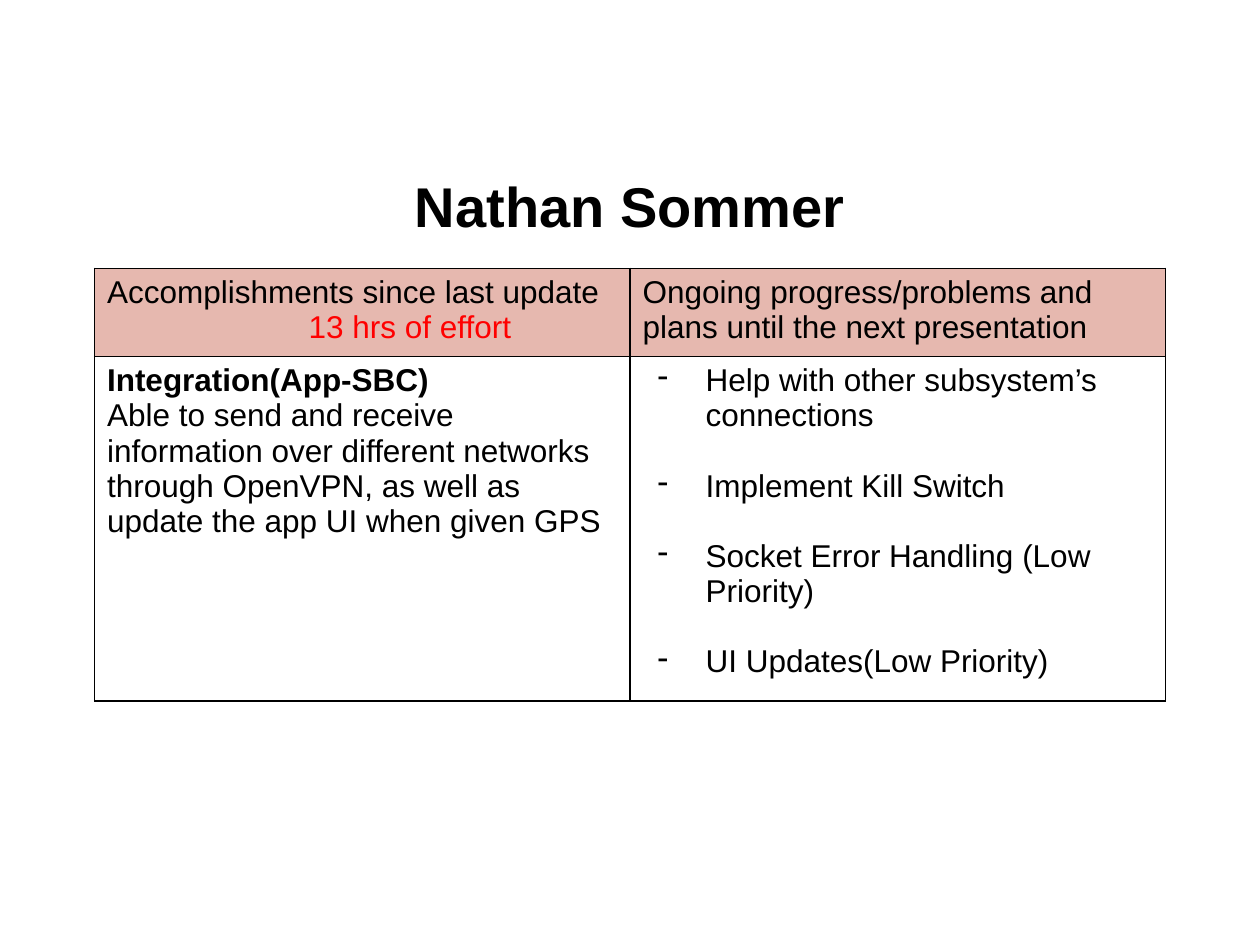
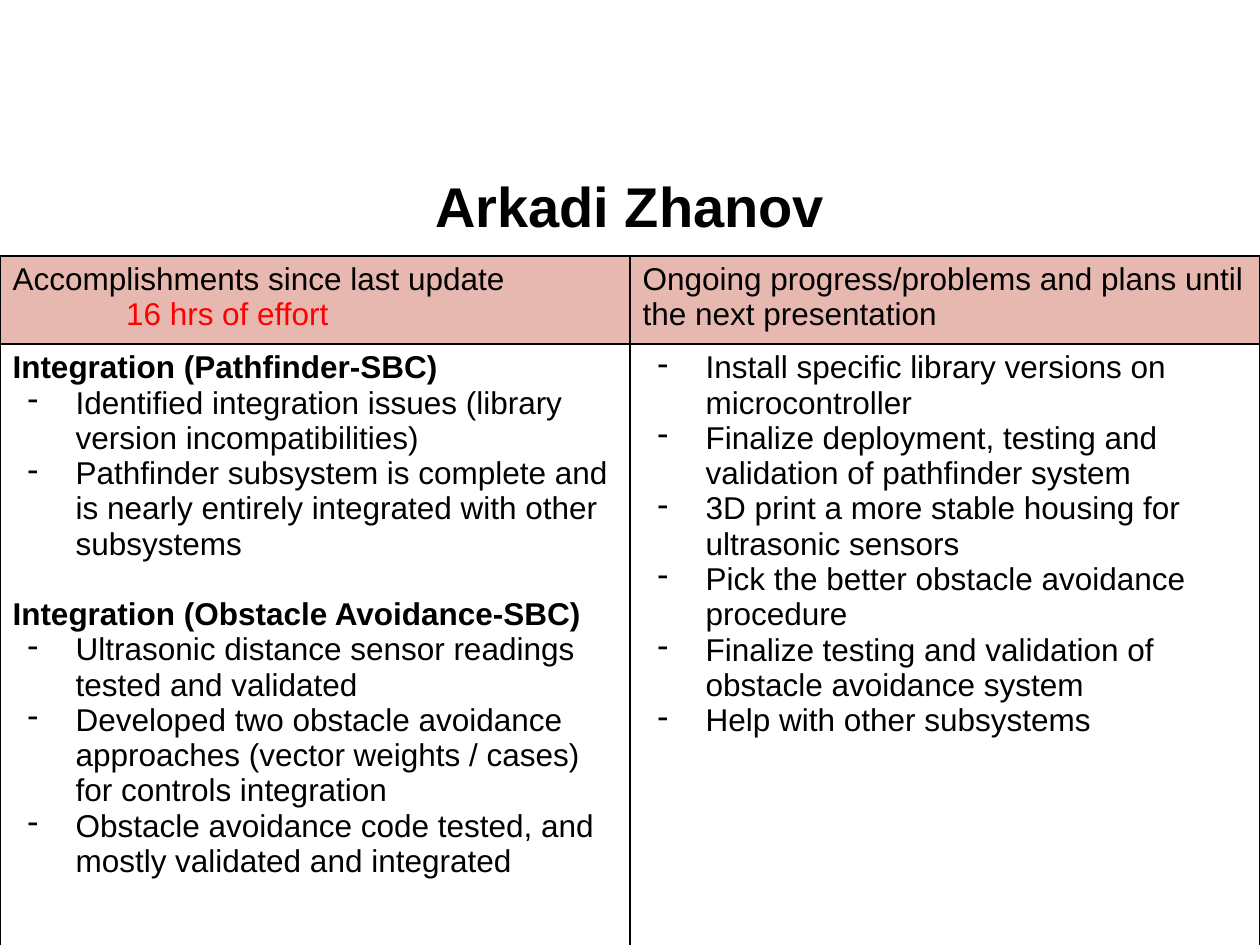
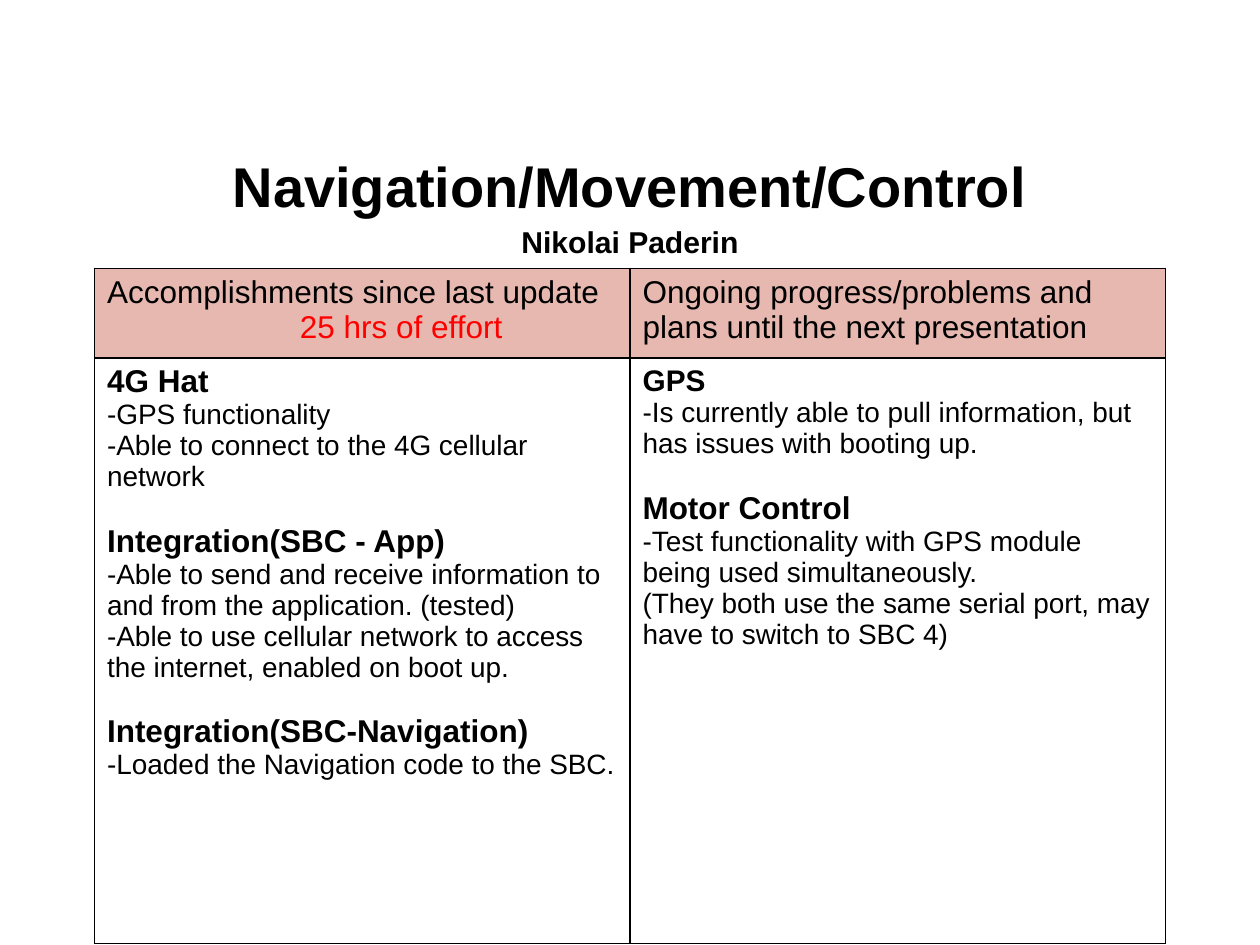
"""Build three progress-update slides, one for each team member."""
from lxml import etree
from pptx import Presentation
from pptx import util as u
from pptx.dml.color import RGBColor
from pptx.enum import text
from pptx.oxml import ns

FONT = "Arial"
COLORS = {"ink": "000000", "effort": "FF0000", "header": "E6B8AF", "body": "FFFFFF"}
STYLES = {
    "heading": {"size": 18, "bold": True},
    "subheading": {"size": 17, "bold": True},
    "plain": {"size": 18},
    "note": {"size": 16},
    "bullet": {"size": 18, "indent": 0.5, "bullet": "-"},
}
SLIDE_WIDTH = 10
DONE_HEADER = "Accomplishments since last update"
PLANS_HEADER = "Ongoing progress/problems and plans until the next presentation"

UPDATES = [
    {
        "title": [("Nathan Sommer", 32)],
        "effort": ("13 hrs of effort", 1.6),
        "top": 2.13, "width": 8.5, "rows": (0.7, 2.62), "gap": 20,
        "done": [[
            ("heading", "Integration(App-SBC)"),
            ("plain", "Able to send and receive information over different networks "
                      "through OpenVPN, as well as update the app UI when given GPS"),
        ]],
        "plans": [
            [("bullet", "Help with other subsystem’s connections")],
            [("bullet", "Implement Kill Switch")],
            [("bullet", "Socket Error Handling (Low Priority)")],
            [("bullet", "UI Updates(Low Priority)")],
        ],
    },
    {
        "title": [("Arkadi Zhanov", 32)],
        "effort": ("16 hrs of effort", 0.9),
        "top": 2.03, "width": 10, "rows": (0.68, 4.79), "gap": 20,
        "done": [
            [
                ("heading", "Integration (Pathfinder-SBC)"),
                ("bullet", "Identified integration issues (library version incompatibilities)"),
                ("bullet", "Pathfinder subsystem is complete and is nearly entirely "
                           "integrated with other subsystems"),
            ],
            [
                ("heading", "Integration (Obstacle Avoidance-SBC)"),
                ("bullet", "Ultrasonic distance sensor readings tested and validated"),
                ("bullet", "Developed two obstacle avoidance approaches "
                           "(vector weights / cases) for controls integration"),
                ("bullet", "Obstacle avoidance code tested, and mostly validated and integrated"),
            ],
        ],
        "plans": [[
            ("bullet", "Install specific library versions on microcontroller"),
            ("bullet", "Finalize deployment, testing and validation of pathfinder system"),
            ("bullet", "3D print a more stable housing for ultrasonic sensors"),
            ("bullet", "Pick the better obstacle avoidance procedure"),
            ("bullet", "Finalize testing and validation of obstacle avoidance system"),
            ("bullet", "Help with other subsystems"),
        ]],
    },
    {
        "title": [("Navigation/Movement/Control", 32), ("Nikolai Paderin", 17.2)],
        "effort": ("25 hrs of effort", 1.53),
        "top": 2.13, "width": 8.5, "rows": (0.71, 4.65), "gap": 17.7,
        "done": [
            [
                ("heading", "4G Hat"),
                ("note", "-GPS functionality"),
                ("note", "-Able to connect to the 4G cellular network"),
            ],
            [
                ("heading", "Integration(SBC - App)"),
                ("note", "-Able to send and receive information to and from "
                         "the application. (tested)"),
                ("note", "-Able to use cellular network to access the internet, "
                         "enabled on boot up."),
            ],
            [
                ("heading", "Integration(SBC-Navigation)"),
                ("note", "-Loaded the Navigation code to the SBC."),
            ],
        ],
        "plans": [
            [
                ("subheading", "GPS"),
                ("note", "-Is currently able to pull information, but has issues "
                         "with booting up."),
            ],
            [
                ("heading", "Motor Control"),
                ("note", "-Test functionality with GPS module being used simultaneously."),
                ("note", "(They both use the same serial port, may have to switch to SBC 4)"),
            ],
        ],
    },
]


def add_paragraph(frame, words, size, bold=False, color="ink", indent=0, bullet=None):
    paragraph = frame.paragraphs[0]
    if paragraph.runs:
        paragraph = frame.add_paragraph()
    paragraph.add_run().text = words
    properties = paragraph._p.get_or_add_pPr()
    if indent:
        properties.set("marL", str(u.Inches(indent)))
    if bullet:
        properties.set("indent", str(u.Inches(-0.38)))
        etree.SubElement(properties, ns.qn("a:buChar")).set("char", bullet)
    font = paragraph.font
    font.name, font.size, font.bold = FONT, u.Pt(size), bold
    font.color.rgb = RGBColor.from_string(COLORS[color])
    return paragraph


def paint_cell(cell, color):
    cell.fill.solid()
    cell.fill.fore_color.rgb = RGBColor.from_string(COLORS[color])
    for position, side in enumerate(("lnL", "lnR", "lnT", "lnB")):
        border = etree.Element(ns.qn("a:" + side), w=str(u.Pt(1)))
        fill = etree.SubElement(border, ns.qn("a:solidFill"))
        etree.SubElement(fill, ns.qn("a:srgbClr")).set("val", COLORS["ink"])
        cell._tc.get_or_add_tcPr().insert(position, border)


def add_groups(frame, groups, gap):
    for number, group in enumerate(groups):
        for place, (style, words) in enumerate(group):
            paragraph = add_paragraph(frame, words, **STYLES[style])
            if number and place == 0:
                paragraph.space_before = u.Pt(gap)


def add_title(slide, lines):
    box = slide.shapes.add_textbox(u.Inches(0.5), u.Inches(1.15), u.Inches(9), u.Inches(0.88))
    frame = box.text_frame
    frame.word_wrap = True
    frame.vertical_anchor = text.MSO_ANCHOR.MIDDLE
    for words, size in lines:
        paragraph = add_paragraph(frame, words, size, bold=True)
        paragraph.alignment = text.PP_ALIGN.CENTER
        paragraph.line_spacing = 1.15


def add_update_table(slide, update):
    width, heights = update["width"], update["rows"]
    table = slide.shapes.add_table(
        2, 2, u.Inches((SLIDE_WIDTH - width) / 2), u.Inches(update["top"]),
        u.Inches(width), u.Inches(sum(heights))).table
    table.first_row = table.horz_banding = False
    for row, height, color in zip(table.rows, heights, ("header", "body")):
        row.height = u.Inches(height)
        for cell in row.cells:
            paint_cell(cell, color)
    effort, indent = update["effort"]
    done_header = table.cell(0, 0).text_frame
    add_paragraph(done_header, DONE_HEADER, 18)
    add_paragraph(done_header, effort, 18, color="effort", indent=indent)
    add_paragraph(table.cell(0, 1).text_frame, PLANS_HEADER, 18)
    for column, part in enumerate(("done", "plans")):
        add_groups(table.cell(1, column).text_frame, update[part], update["gap"])


def main():
    deck = Presentation()
    deck.slide_width, deck.slide_height = u.Inches(SLIDE_WIDTH), u.Inches(7.5)
    for update in UPDATES:
        slide = deck.slides.add_slide(deck.slide_layouts[6])
        add_title(slide, update["title"])
        add_update_table(slide, update)
    deck.save("out.pptx")


if __name__ == "__main__":
    main()
